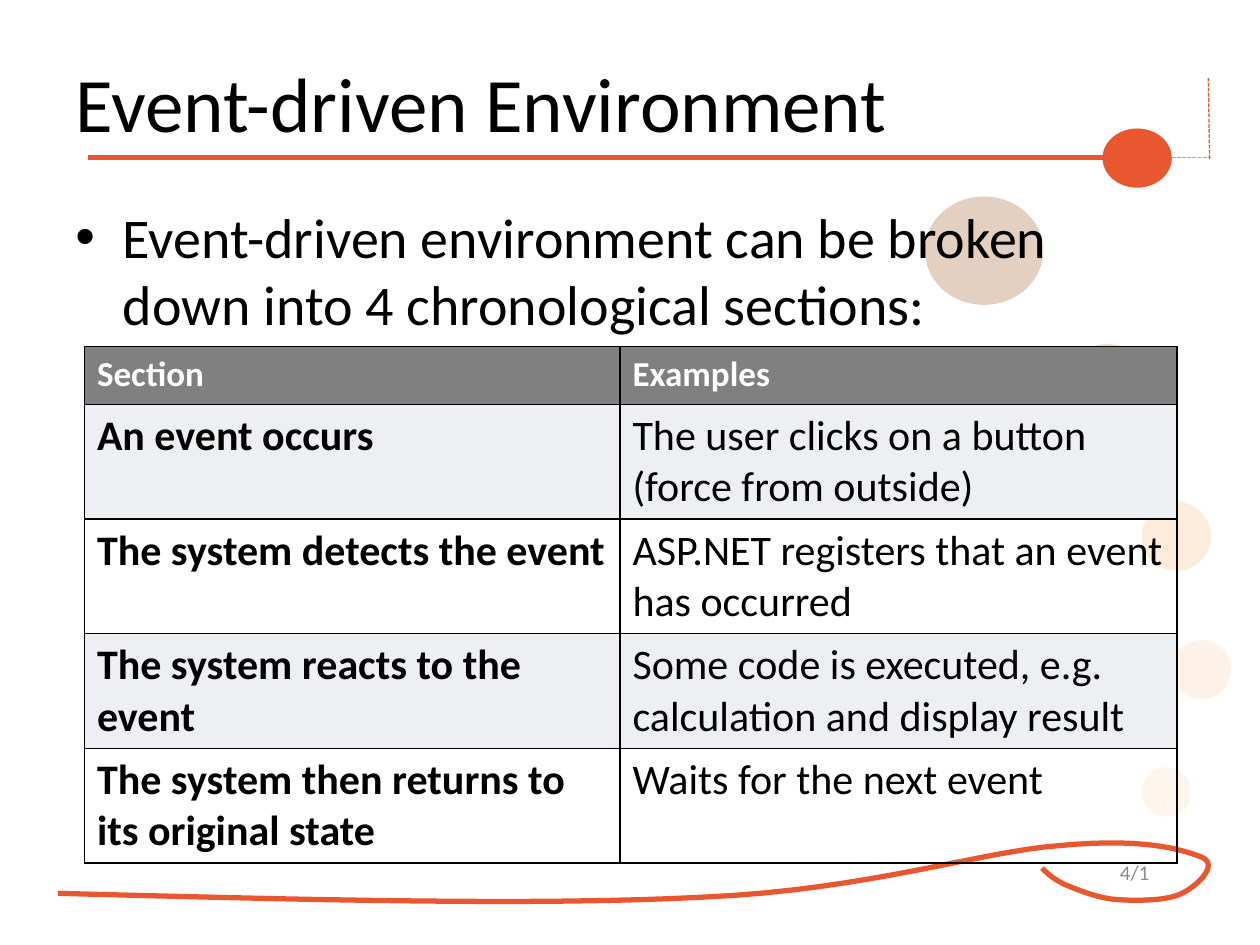
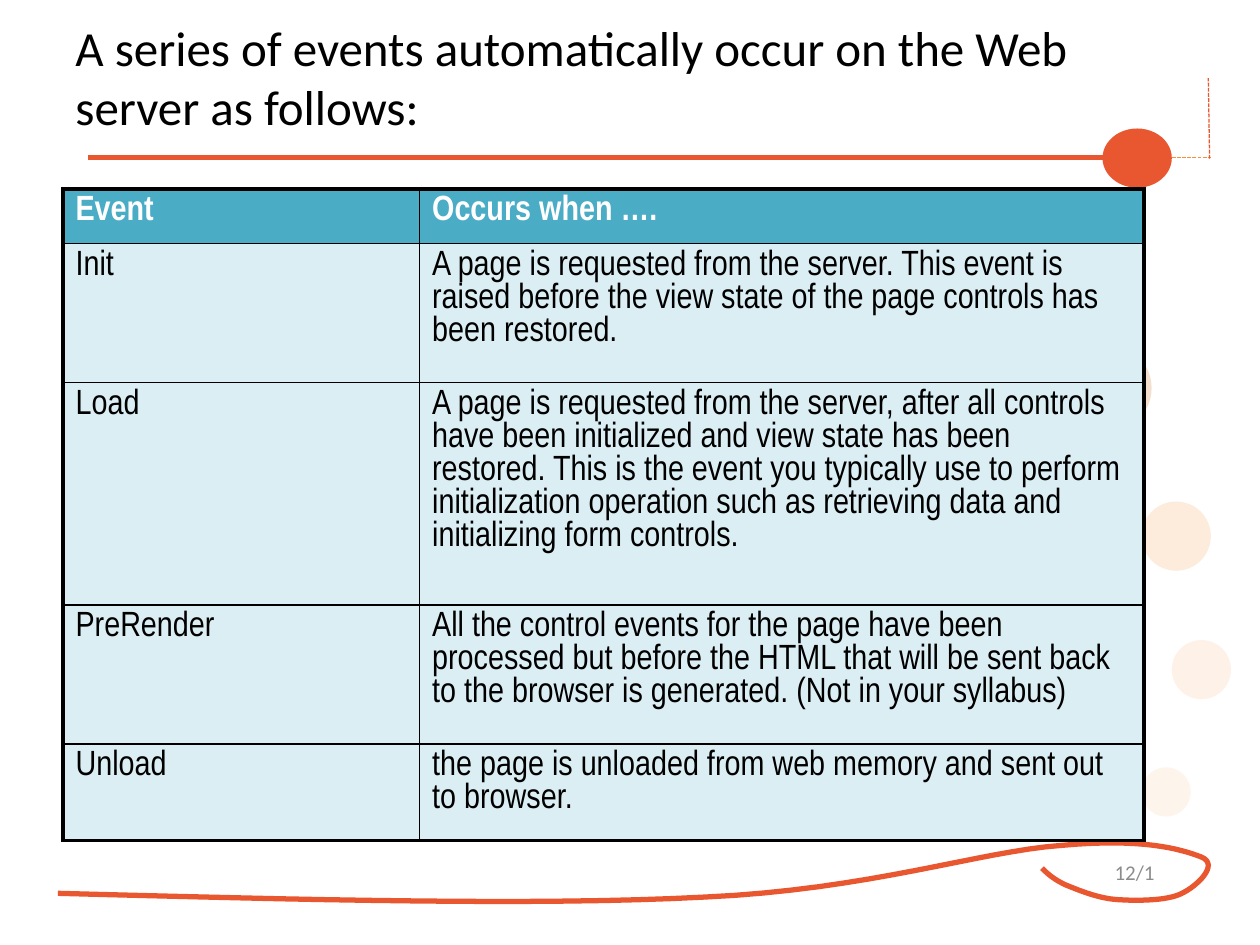
import pptx
import pptx.dml.color
import pptx.enum.dml
import pptx.enum.shapes
import pptx.enum.text
import pptx.oxml
import pptx.oxml.ns
import pptx.util

# The slide is a grid of 100 columns by 75 rows of square cells
COLUMNS, ROWS = 100, 75
CELL = pptx.util.Inches(0.1)

ACCENT, BLACK, WHITE = "E85730", "000000", "FFFFFF"
TITLE_FONT, TABLE_FONT = "Calibri", "Arial Narrow"
DASH = pptx.enum.dml.MSO_LINE.SQUARE_DOT
MIDDLE = pptx.enum.text.MSO_ANCHOR.MIDDLE
TOP = pptx.enum.text.MSO_ANCHOR.TOP
LEFT = pptx.enum.text.PP_ALIGN.LEFT
CENTER = pptx.enum.text.PP_ALIGN.CENTER

# Left, top, width, height, colour, opacity in percent
CIRCLES = [
    (73.4, 15.6, 9.4, 8.6, "904406", 25),
    (84.4, 27.3, 7, 7, "C85F08", 20),
    (90.6, 39.8, 5.5, 5.5, "F57B17", 15),
    (93, 50.8, 4.7, 4.7, "F67B16", 10),
    (90.6, 60.9, 3.9, 3.9, "F59545", 10),
    (87.5, 10.2, 5.5, 4.7, ACCENT, 100),
]

# Start, end, colour, width in points, dash
RULES = [
    ((7, 12.5), (87.5, 12.5), ACCENT, 3, None),
    ((93, 12.5), (96.1, 12.5), "F6903C", 0.75, DASH),
    ((96, 12.6), (95.9, 6.2), ACCENT, 0.75, DASH),
]

# Knots of the ribbon, with two control points between neighbours
RIBBON = [
    (4.6, 70.9), (23.6, 71.4), (42.6, 71.9),
    (55.9, 71.2), (69.1, 70.6), (77.6, 67.6),
    (84.2, 67.1), (90.8, 66.5), (93.7, 67.4),
    (95.3, 68), (96.9, 68.6), (94.9, 70.4),
    (93.8, 70.9), (92.7, 71.5), (90.2, 71.5),
    (88.7, 71.4), (87.1, 71.3), (85.5, 70.6),
    (84.5, 70.2), (83.5, 69.7), (83.1, 69.3),
    (82.7, 68.9),
]
CURVE_STEPS = 16

SECTIONS = [
    ("Section", "Examples"),
    ("An event occurs", "The user clicks on a button (force from outside)"),
    ("The system detects the event",
     "ASP.NET registers that an event has occurred"),
    ("The system reacts to the event",
     "Some code is executed, e.g. calculation and display result"),
    ("The system then returns to its original state",
     "Waits for the next event"),
]

PAGE_EVENTS = [
    ("Event", "Occurs when ...."[:12] + "…."),
    ("Init", "A page is requested from the server. This event is raised "
     "before the view state of the page controls has been restored."),
    ("Load", "A page is requested from the server, after all controls have "
     "been initialized and view state has been restored. This is the event "
     "you typically use to perform initialization operation such as "
     "retrieving data and initializing form controls."),
    ("PreRender", "All the control events for the page have been processed "
     "but before the HTML that will be sent back to the browser is "
     "generated. (Not in your syllabus)"),
    ("Unload", "the page is unloaded from web memory and sent out to "
     "browser."),
]


def cells(count):
    return round(count * CELL)


def color(value):
    return pptx.dml.color.RGBColor.from_string(value)


def set_all(target, values):
    for name, value in values.items():
        setattr(target, name, value)


def add_element(parent, tag, **attributes):
    element = parent.makeelement(pptx.oxml.ns.qn(tag), attributes)
    parent.append(element)
    return element


def write(paragraph, text, size, hue=BLACK, font=TITLE_FONT, bold=False):
    run = paragraph.add_run()
    run.text = text
    set_all(run.font, {"name": font, "size": pptx.util.Pt(size), "bold": bold})
    run.font.color.rgb = color(hue)


def add_text(slide, box, text, size, hue=BLACK, anchor=TOP, align=LEFT):
    frame = slide.shapes.add_textbox(*map(cells, box)).text_frame
    set_all(frame, {"word_wrap": True, "vertical_anchor": anchor})
    paragraph = frame.paragraphs[0]
    paragraph.alignment = align
    write(paragraph, text, size, hue)
    return paragraph


def add_bullet(paragraph, indent):
    properties = paragraph._p.get_or_add_pPr()
    properties.set("marL", str(cells(indent)))
    properties.set("indent", str(-cells(indent)))
    add_element(properties, "a:buFont", typeface="Arial")
    add_element(properties, "a:buChar", char="•")


def add_circle(slide, left, top, width, height, hue, opacity):
    circle = slide.shapes.add_shape(
        pptx.enum.shapes.MSO_SHAPE.OVAL,
        *map(cells, (left, top, width, height)))
    circle.shadow.inherit = False
    circle.line.fill.background()
    circle.fill.solid()
    circle.fill.fore_color.rgb = color(hue)
    if opacity < 100:
        fill = next(circle._element.spPr.iter(pptx.oxml.ns.qn("a:srgbClr")))
        add_element(fill, "a:alpha", val=str(opacity * 1000))


def style_line(line, hue, width, dash=None):
    line.color.rgb = color(hue)
    line.width = pptx.util.Pt(width)
    if dash:
        line.dash_style = dash


def add_rule(slide, start, end, hue, width, dash):
    rule = slide.shapes.add_connector(
        pptx.enum.shapes.MSO_CONNECTOR.STRAIGHT, *map(cells, start + end))
    style_line(rule.line, hue, width, dash)
    add_element(rule._element.spPr, "a:effectLst")


def curve_points(knots):
    """Sample the chain of cubic curves at equal steps."""
    for first in range(0, len(knots) - 1, 3):
        for step in range(1, CURVE_STEPS + 1):
            t = step / CURVE_STEPS
            weights = ((1 - t) ** 3, 3 * t * (1 - t) ** 2,
                       3 * t ** 2 * (1 - t), t ** 3)
            curve = knots[first:first + 4]
            yield tuple(cells(sum(w * knot[axis]
                                  for w, knot in zip(weights, curve)))
                        for axis in (0, 1))


def add_ribbon(slide):
    builder = slide.shapes.build_freeform(*map(cells, RIBBON[0]))
    builder.add_line_segments(list(curve_points(RIBBON)), close=False)
    ribbon = builder.convert_to_shape()
    ribbon.shadow.inherit = False
    ribbon.fill.background()
    style_line(ribbon.line, ACCENT, 3)


def set_borders(cell, widths):
    properties = cell._tc.get_or_add_tcPr()
    for side, width in zip("LRTB", widths):
        border = add_element(properties, "a:ln" + side,
                             w=str(pptx.util.Pt(width)))
        fill = add_element(border, "a:solidFill")
        add_element(fill, "a:srgbClr", val=BLACK)


def add_grid(slide, corner, widths, heights, content, fills, sizes,
             font, frame_width, bold_first):
    """Fills are for the header row, odd rows and even rows."""
    last_row, last_column = len(heights) - 1, len(widths) - 1
    table = slide.shapes.add_table(
        len(heights), len(widths),
        *map(cells, (*corner, sum(widths), sum(heights)))).table
    set_all(table, {"first_row": False, "horz_banding": False})
    for column, width in zip(table.columns, widths):
        column.width = cells(width)
    for row, height in zip(table.rows, heights):
        row.height = cells(height)
    for r, texts in enumerate(content):
        header = r == 0
        fill = fills[0] if header else fills[2 - r % 2]
        for c, text in enumerate(texts):
            cell = table.cell(r, c)
            edges = (c == 0, c == last_column, r == 0, r == last_row)
            set_borders(cell, [frame_width if edge else 1 for edge in edges])
            if fill:
                cell.fill.solid()
                cell.fill.fore_color.rgb = color(fill)
            else:
                cell.fill.background()
            write(cell.text_frame.paragraphs[0], text,
                  sizes[0] if header else sizes[1],
                  WHITE if header else BLACK, font,
                  header or (bold_first and c == 0))


def add_slide(presentation, number):
    """Blank slide with the shared decoration and the slide number."""
    slide = presentation.slides.add_slide(presentation.slide_layouts[6])
    add_text(slide, (86.7, 67.2, 6.7, 4), number, 12, "8C8C8C",
             MIDDLE, CENTER)
    add_ribbon(slide)
    for circle in CIRCLES:
        add_circle(slide, *circle)
    for rule in RULES:
        add_rule(slide, *rule)
    return slide


def add_title(slide, text, size, top):
    add_text(slide, (5, top, 90.8, 12.1), text, size, anchor=MIDDLE)


def main():
    presentation = pptx.Presentation()
    presentation.slide_width = cells(COLUMNS)
    presentation.slide_height = cells(ROWS)

    # Four chronological sections
    slide = add_slide(presentation, "4/1")
    add_title(slide, "Event-driven Environment", 44, 2)
    body = add_text(
        slide, (5, 15.6, 89.5, 49.2),
        "Event-driven environment can be broken down into "
        "4 chronological sections:", 32)
    add_bullet(body, 3.75)
    add_grid(slide, (6.7, 27.5), (42.5, 44.2), (4.6, *[9.1] * 4), SECTIONS,
             ("808080", "EEEFF2", None), (20, 24), TITLE_FONT, 1, True)

    # Events of the page life cycle
    slide = add_slide(presentation, "12/1")
    add_title(slide, "A series of events automatically occur on the Web "
              "server as follows:", 28, 0)
    add_grid(slide, (5, 15), (28.3, 57.5), (4.1, 10.5, 16.8, 10.5, 7.5),
             PAGE_EVENTS, ("4BACC6", "DBEEF4", "DBEEF4"), (20, 20),
             TABLE_FONT, 2.25, False)

    presentation.save("out.pptx")


if __name__ == "__main__":
    main()
